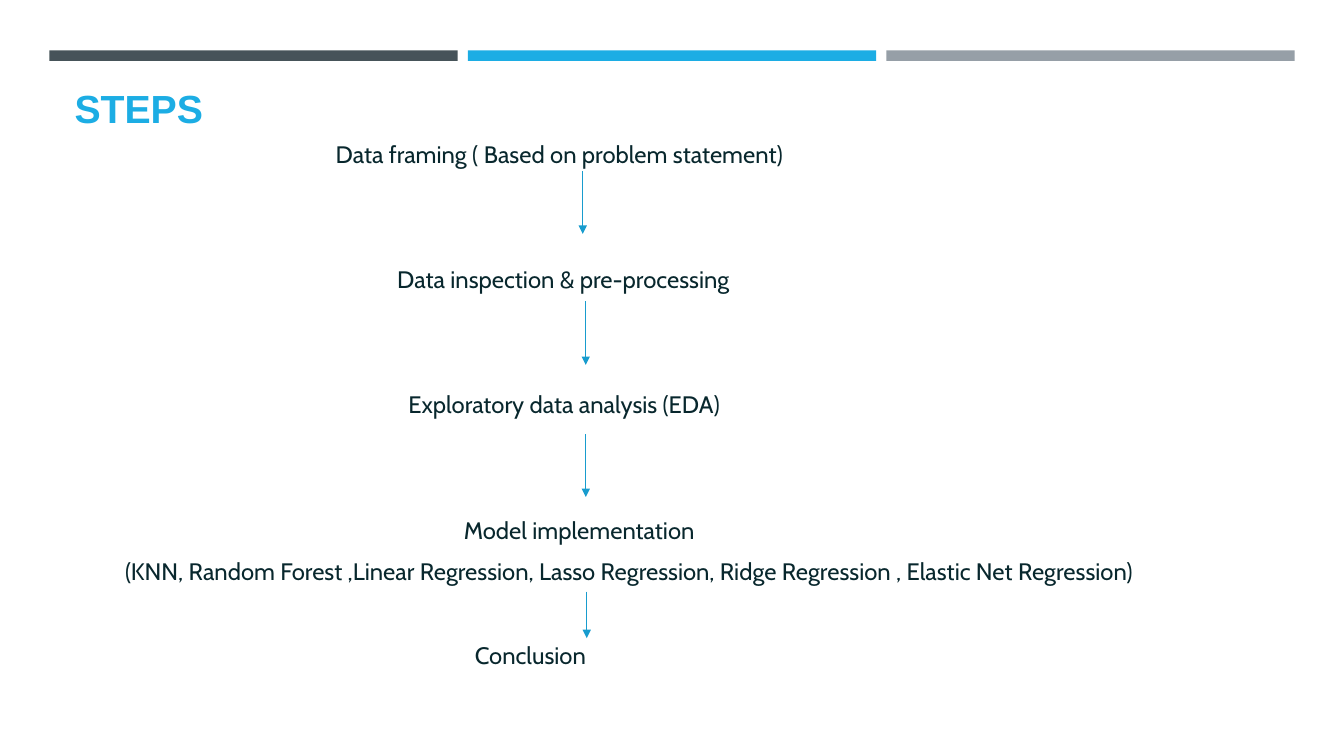
from pptx import Presentation, util as u
from pptx.dml.color import RGBColor
from pptx.enum import shapes, text
from pptx.oxml.ns import qn
from lxml import etree

SLATE = RGBColor(0x46, 0x53, 0x59)
SKY = RGBColor(0x1C, 0xAD, 0xE4)
GREY = RGBColor(0x96, 0x9F, 0xA7)
ARROW_BLUE = RGBColor(0x18, 0x9C, 0xCE)
INK = RGBColor(0x08, 0x27, 0x2D)


class StepsSlide:
    """Draws on a grid of 133.3 columns by 75 rows."""
    CELL = u.Inches(0.1)
    HEADING_FONT, BODY_FONT = "Arial", "Cabin"
    LINE_HEIGHT = 20    # points
    LINE_PITCH = 29.82  # points from one text line to the next

    def __init__(self, deck):
        self.slide = deck.slides.add_slide(deck.slide_layouts[1])

    def cells(self, *counts):
        return [round(count * self.CELL) for count in counts]

    def place(self, holder, box, anchor):
        holder.left, holder.top, holder.width, holder.height = self.cells(*box)
        frame = holder.text_frame
        frame.word_wrap = True
        frame.auto_size = text.MSO_AUTO_SIZE.NONE
        frame.vertical_anchor = anchor
        return frame

    def style(self, paragraph, font, size, color, bold=False):
        paragraph.alignment = text.PP_ALIGN.LEFT
        paragraph.font.name = font
        paragraph.font.size = u.Pt(size)
        paragraph.font.bold = bold
        paragraph.font.color.rgb = color

    def bar(self, box, color):
        band = self.slide.shapes.add_shape(
            shapes.MSO_SHAPE.RECTANGLE, *self.cells(*box))
        band.shadow.inherit = False
        band.fill.solid()
        band.fill.fore_color.rgb = color
        band.line.fill.background()

    def title(self, words, box):
        frame = self.place(self.slide.shapes.title, box, text.MSO_ANCHOR.BOTTOM)
        frame.text = words
        self.style(frame.paragraphs[0], self.HEADING_FONT, 28, SKY, bold=True)

    def steps(self, entries, box):
        """Each entry is (lines below the previous one, indent, words)."""
        frame = self.place(self.slide.placeholders[1], box, text.MSO_ANCHOR.TOP)
        frame.margin_top = u.Inches(0.04)
        frame.text = "\n".join(words for _, _, words in entries)
        for paragraph, (lines, indent, _) in zip(frame.paragraphs, entries):
            self.style(paragraph, self.BODY_FONT, 17, INK)
            paragraph.line_spacing = u.Pt(self.LINE_HEIGHT)
            gap = lines * self.LINE_PITCH - self.LINE_HEIGHT if lines else 0
            paragraph.space_before = u.Pt(gap)
            paragraph.space_after = u.Pt(0)
            # Indent without a bullet
            properties = paragraph._p.get_or_add_pPr()
            properties.set("marL", str(self.cells(indent)[0]))
            properties.set("indent", "0")
            bullet = properties.makeelement(qn("a:buNone"), {})
            properties.find(qn("a:spcAft")).addnext(bullet)

    def arrow(self, column, start, end):
        link = self.slide.shapes.add_connector(
            shapes.MSO_CONNECTOR.STRAIGHT, *self.cells(column, start, column, end))
        link.line.color.rgb = ARROW_BLUE
        link.line.width = u.Pt(1)
        etree.SubElement(link.line._get_or_add_ln(), qn("a:tailEnd"), type="triangle")
        etree.SubElement(link._element.spPr, qn("a:effectLst"))


def main():
    deck = Presentation()
    deck.slide_width, deck.slide_height = u.Inches(13.33), u.Inches(7.5)
    page = StepsSlide(deck)

    # Header bars
    for position, color in enumerate((SLATE, SKY, GREY)):
        page.bar((4.9 + 41.5 * position, 5, 40.5, 1.05), color)

    # Heading
    page.title("STEPS", (6.4, 7.7, 120.6, 5.8))

    # Process steps
    page.steps([
        (0, 30.5, "Data framing ( Based on problem statement)"),
        (3, 36.6, "Data inspection & pre-processing"),
        (3, 37.7, "Exploratory data analysis (EDA)"),
        (3, 43.2, "Model implementation"),
        (1, 9.6, "(KNN, Random Forest ,Linear Regression, Lasso Regression, "
                 "Ridge Regression , Elastic Net Regression)"),
        (2, 44.3, "Conclusion"),
    ], (1.8, 13.5, 129.4, 56.7))

    # Arrows between the steps
    for column, start, end in ((57.8, 17, 23.2), (58.1, 29.9, 36.2),
                               (58.1, 43.1, 49.3), (58.2, 58.7, 63.3)):
        page.arrow(column, start, end)

    deck.save("out.pptx")


if __name__ == "__main__":
    main()
